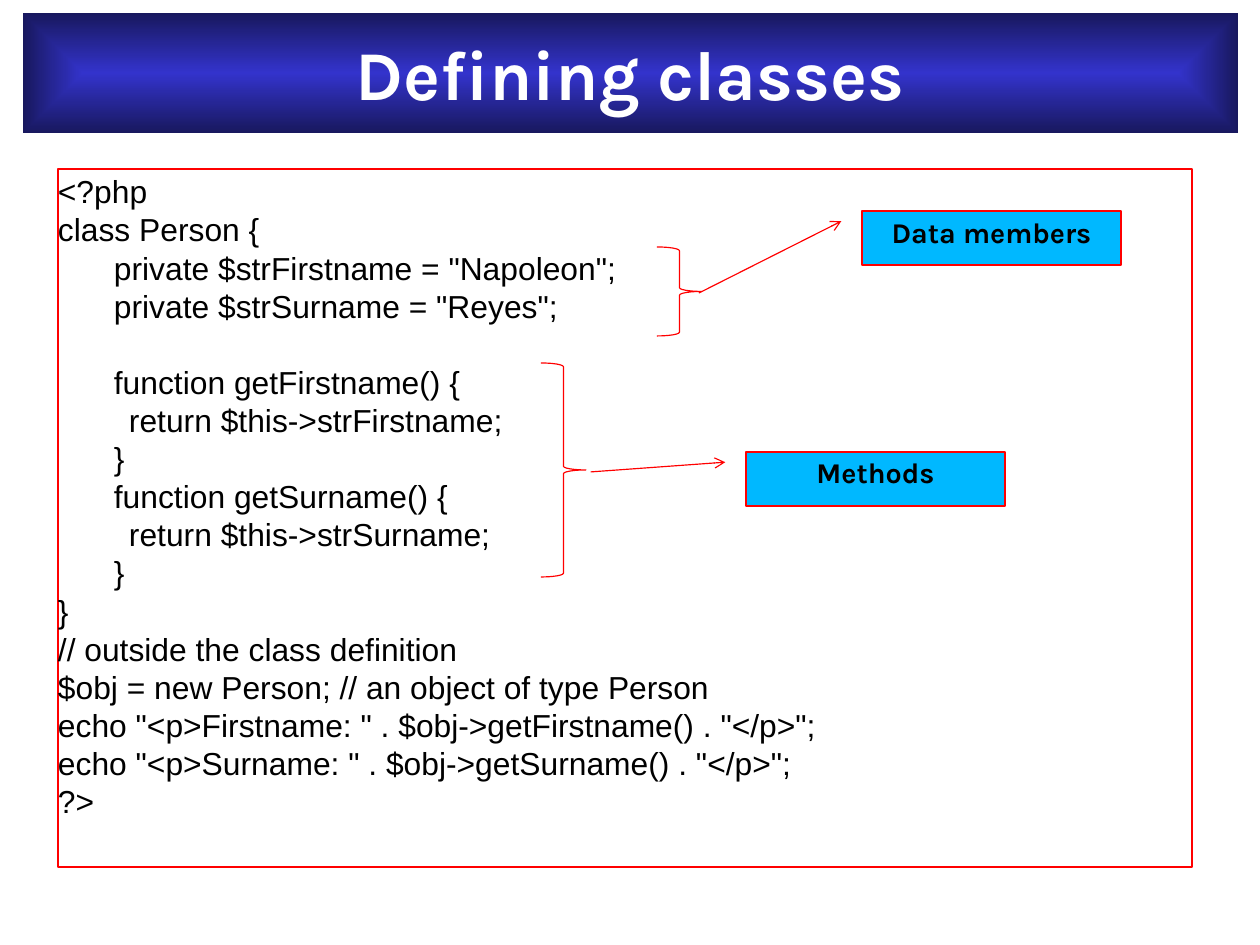
"""Build a slide that explains the parts of a PHP class."""
from dataclasses import dataclass

from lxml.etree import SubElement
from pptx import Presentation
from pptx.dml.color import RGBColor
from pptx.enum.shapes import MSO_SHAPE
from pptx.enum.text import MSO_ANCHOR, MSO_AUTO_SIZE, PP_ALIGN
from pptx.oxml.ns import qn
from pptx.util import Emu, Pt

COLORS = {
    "line": "FF0000",
    "label": "00B8FF",
    "code": "000000",
    "title": "FFFFFF",
    "banner_center": "3333CC",
    "banner_edge": "18185E",
}
EMU_PER_PX = 8000
MEMBER, BODY = 56, 71
LINE_PITCH = 24


@dataclass(frozen=True)
class Box:
    """A rectangle in px."""
    left: int
    top: int
    width: int
    height: int


@dataclass(frozen=True)
class CodeLine:
    """A line of code with its indent in px and the gap above it in points."""
    text: str
    indent: int = 0
    gap: int = 0


@dataclass(frozen=True)
class Note:
    """A brace beside some code and the callout that names it."""
    text: str
    brace: Box
    label: Box
    pointer: tuple[float, float, float, float]


CODE = [
    CodeLine("<?php"),
    CodeLine("class Person {"),
    CodeLine('private $strFirstname = "Napoleon";', MEMBER),
    CodeLine('private $strSurname = "Reyes";', MEMBER),
    CodeLine("function getFirstname() {", MEMBER, LINE_PITCH),
    CodeLine("return $this->strFirstname;", BODY),
    CodeLine("}", MEMBER),
    CodeLine("function getSurname() {", MEMBER),
    CodeLine("return $this->strSurname;", BODY),
    CodeLine("}", MEMBER),
    CodeLine("}"),
    CodeLine("// outside the class definition"),
    CodeLine("$obj = new Person; // an object of type Person"),
    CodeLine('echo "<p>Firstname: " . $obj->getFirstname() . "</p>";'),
    CodeLine('echo "<p>Surname: " . $obj->getSurname() . "</p>";'),
    CodeLine("?>"),
]
NOTES = [
    Note("Data members", Box(657, 247, 45, 89), Box(862, 211, 259, 54),
         (0.19, -0.08, 1.52, -0.63)),
    Note("Methods", Box(541, 363, 45, 214), Box(746, 452, 259, 54),
         (0.19, -0.08, 0.37, -0.6)),
]


def px(value: int) -> Emu:
    """Turn px into EMU."""
    return Emu(value * EMU_PER_PX)


def rgb(name: str) -> RGBColor:
    """Look up a colour by name."""
    return RGBColor.from_string(COLORS[name])


def set_insets(tf, left: int, top: int, right: int, bottom: int) -> None:
    """Set the text margins in px."""
    tf.margin_left, tf.margin_top = px(left), px(top)
    tf.margin_right, tf.margin_bottom = px(right), px(bottom)


def add_run(p, text: str, font: str, size: int, color: str, bold: bool) -> None:
    """Add one formatted run to a paragraph."""
    r = p.add_run()
    r.text = text
    r.font.name, r.font.size, r.font.bold = font, Pt(size), bold
    r.font.color.rgb = rgb(color)


def add_outlined(s, kind: MSO_SHAPE, box: Box):
    """Add an unfilled shape with a thin red line."""
    sp = s.shapes.add_shape(kind, px(box.left), px(box.top),
                            px(box.width), px(box.height))
    sp.shadow.inherit = False
    sp.fill.background()
    sp.line.color.rgb = rgb("line")
    sp.line.width = Pt(0.75)
    return sp


def add_title(s, text: str, box: Box) -> None:
    """Turn the title placeholder into a gradient banner."""
    sp = s.shapes.title
    sp.left, sp.top = px(box.left), px(box.top)
    sp.width, sp.height = px(box.width), px(box.height)
    sp.fill.gradient()
    names = ("banner_center", "banner_edge")
    for position, (stop, name) in enumerate(zip(sp.fill.gradient_stops, names)):
        stop.color.rgb = rgb(name)
        stop.position = position
    grad = sp._element.spPr.find(qn("a:gradFill"))
    grad.remove(grad.find(qn("a:lin")))
    shade = SubElement(grad, qn("a:path"), path="rect")
    SubElement(shade, qn("a:fillToRect"),
               {side: "50000" for side in ("l", "t", "r", "b")})
    tf = sp.text_frame
    tf.auto_size = MSO_AUTO_SIZE.NONE
    tf.vertical_anchor = MSO_ANCHOR.MIDDLE
    set_insets(tf, 0, 0, 0, 0)
    p = tf.paragraphs[0]
    p.alignment = PP_ALIGN.CENTER
    p.line_spacing = 1.0
    add_run(p, text, "Karla", 44, "title", True)


def add_code(s, lines: list[CodeLine], box: Box) -> None:
    """Add the framed code listing."""
    tf = add_outlined(s, MSO_SHAPE.RECTANGLE, box).text_frame
    tf.word_wrap = True
    tf.vertical_anchor = MSO_ANCHOR.TOP
    set_insets(tf, 0, 3, 0, 0)
    for i, line in enumerate(lines):
        p = tf.add_paragraph() if i else tf.paragraphs[0]
        p.alignment = PP_ALIGN.LEFT
        p.line_spacing = Pt(LINE_PITCH)
        p.space_before = Pt(line.gap)
        p._p.get_or_add_pPr().set("marL", str(px(line.indent)))
        add_run(p, line.text, "Arial", 20, "code", False)


def add_note(s, note: Note) -> None:
    """Add a brace and its callout."""
    add_outlined(s, MSO_SHAPE.RIGHT_BRACE, note.brace)
    sp = add_outlined(s, MSO_SHAPE.LINE_CALLOUT_1, note.label)
    for i, value in enumerate(note.pointer):
        sp.adjustments[i] = value
    sp.fill.solid()
    sp.fill.fore_color.rgb = rgb("label")
    SubElement(sp.line._get_or_add_ln(), qn("a:headEnd"), type="arrow")
    tf = sp.text_frame
    tf.word_wrap = True
    tf.vertical_anchor = MSO_ANCHOR.TOP
    set_insets(tf, 11, 6, 11, 6)
    p = tf.paragraphs[0]
    p.alignment = PP_ALIGN.CENTER
    p.line_spacing = 0.95
    add_run(p, note.text, "Karla", 18, "code", True)


def main() -> None:
    """Build and save the slide."""
    prs = Presentation()
    prs.slide_width, prs.slide_height = px(1260), px(945)
    s = prs.slides.add_slide(prs.slide_layouts[5])
    add_code(s, CODE, Box(58, 169, 1134, 698))
    add_title(s, "Defining classes", Box(23, 13, 1215, 120))
    for note in NOTES:
        add_note(s, note)
    prs.save("out.pptx")


if __name__ == "__main__":
    main()
